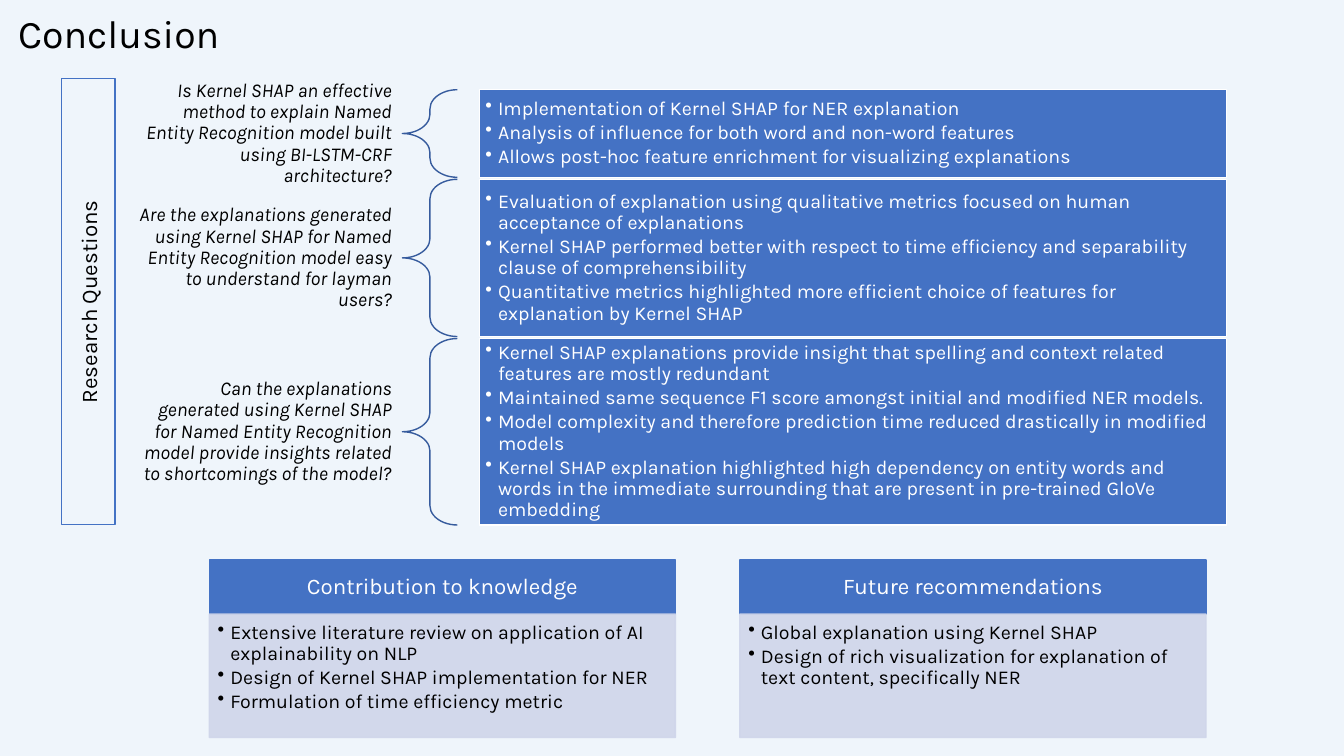
from lxml import etree
from pptx import Presentation
from pptx.dml.color import RGBColor
from pptx.enum.shapes import MSO_SHAPE
from pptx.enum.text import MSO_ANCHOR, MSO_AUTO_SIZE, PP_ALIGN
from pptx.oxml.ns import qn
from pptx.util import Pt

RECT, BRACE = MSO_SHAPE.RECTANGLE, MSO_SHAPE.LEFT_BRACE
TOP, MIDDLE = MSO_ANCHOR.TOP, MSO_ANCHOR.MIDDLE
LEFT, CENTER, RIGHT = PP_ALIGN.LEFT, PP_ALIGN.CENTER, PP_ALIGN.RIGHT
NO_FIT = MSO_AUTO_SIZE.NONE

FONT = "Karla"
BLACK, WHITE, BLUE, NAVY = "000000", "FFFFFF", "4472C4", "365B9D"
PALE, BACK = "CFD5EA", "EFF5FB"

TITLE = "Conclusion"
SIDE = "Research Questions"
# question, height of its row, findings
ROWS = [
    ("Is Kernel SHAP an effective method to explain Named Entity Recognition "
     "model built using BI-LSTM-CRF architecture?", 62.6, [
         "Implementation of Kernel SHAP for NER explanation",
         "Analysis of influence for both word and non-word features",
         "Allows post-hoc feature enrichment for visualizing explanations"]),
    ("Are the explanations generated using Kernel SHAP for Named Entity "
     "Recognition model easy to understand for layman users?", 112.3, [
         "Evaluation of explanation using qualitative metrics focused on "
         "human acceptance of explanations",
         "Kernel SHAP performed better with respect to time efficiency and "
         "separability clause of comprehensibility",
         "Quantitative metrics highlighted more efficient choice of features "
         "for explanation by Kernel SHAP"]),
    ("Can the explanations generated using Kernel SHAP for Named Entity "
     "Recognition model provide insights related to shortcomings of the "
     "model?", 133.2, [
         "Kernel SHAP explanations provide insight that spelling and context "
         "related features are mostly redundant",
         "Maintained same sequence F1 score amongst initial and modified NER "
         "models.",
         "Model complexity and therefore prediction time reduced drastically "
         "in modified models",
         "Kernel SHAP explanation highlighted high dependency on entity words "
         "and words in the immediate surrounding that are present in "
         "pre-trained GloVe embedding"]),
]
CARDS = [
    ("Contribution to knowledge", [
        "Extensive literature review on application of AI explainability on "
        "NLP",
        "Design of Kernel SHAP implementation for NER",
        "Formulation of time efficiency metric"]),
    ("Future recommendations", [
        "Global explanation using Kernel SHAP",
        "Design of rich visualization for explanation of text content, "
        "specifically NER"]),
]

ROW_TOP, ROW_GAP = 64.1, 1.4
CARD_LEFT, CARD_TOP, CARD_STEP, CARD_W = 149.5, 400, 379, 333
HEAD_H, BODY_H = 38.6, 88.2


def color(code):
    return RGBColor.from_string(code)


def place(shape, box):
    for name, value in zip(("left", "top", "width", "height"), box):
        setattr(shape, name, Pt(value))


def write(shape, lines, size=14, ink=BLACK, align=LEFT, anchor=MIDDLE,
          pad=(7.2, 3.6, 7.2, 3.6), italic=False, bullet=False, after=0,
          space=0.9):
    frame = shape.text_frame
    frame.text = "\n".join(lines)
    look = {"word_wrap": True, "auto_size": NO_FIT, "vertical_anchor": anchor}
    for side, value in zip(("left", "top", "right", "bottom"), pad):
        look["margin_" + side] = Pt(value)
    for name, value in look.items():
        setattr(frame, name, value)
    for para in frame.paragraphs:
        para.alignment, para.line_spacing = align, space
        para.space_before, para.space_after = Pt(0), Pt(after)
        font = para.runs[0].font
        style = {"name": FONT, "size": Pt(size), "italic": italic}
        for name, value in style.items():
            setattr(font, name, value)
        font.color.rgb = color(ink)
        if bullet:
            props = para._p.get_or_add_pPr()
            props.set("marL", str(Pt(9)))
            props.set("indent", str(Pt(-9)))
            etree.SubElement(props, qn("a:buChar")).set("char", "•")


def draw(kind, box, line, fill=None, alpha=None):
    shape = slide.shapes.add_shape(kind, *map(Pt, box))
    shape.shadow.inherit = False
    shape.line.color.rgb = color(line)
    shape.line.width = Pt(1)
    if fill:
        shape.fill.solid()
        shape.fill.fore_color.rgb = color(fill)
    else:
        shape.fill.background()
    if alpha:
        for node in shape._element.spPr.iter(qn("a:srgbClr")):
            etree.SubElement(node, qn("a:alpha")).set("val", str(alpha * 1000))
    return shape


deck = Presentation()
deck.slide_width, deck.slide_height = Pt(960), Pt(540)
slide = deck.slides.add_slide(deck.slide_layouts[5])
slide.background.fill.solid()
slide.background.fill.fore_color.rgb = color(BACK)

title = slide.shapes.title
place(title, (5.8, 7.2, 828, 36.7))
write(title, [TITLE], size=28)

top = ROW_TOP
for ask, height, finds in ROWS:
    note = slide.shapes.add_textbox(*map(Pt, (91.4, top, 196.6, height)))
    write(note, [ask], align=RIGHT, italic=True, pad=(8, 3, 8, 3))
    brace = draw(BRACE, (287.5, top, 39.3, height), NAVY)
    brace.adjustments[0] = 0.35
    panel = draw(RECT, (342.5, top, 533.5, height), WHITE, BLUE)
    write(panel, finds, ink=WHITE, bullet=True, after=2.1, pad=(4.2,) * 4)
    top += height + ROW_GAP

for col, (head, items) in enumerate(CARDS):
    left = CARD_LEFT + col * CARD_STEP
    bar = draw(RECT, (left, CARD_TOP, CARD_W, HEAD_H), BLUE, BLUE)
    write(bar, [head], size=16, ink=WHITE, align=CENTER, pad=(9, 5, 9, 5))
    body = draw(RECT, (left, CARD_TOP + HEAD_H, CARD_W, BODY_H), PALE, PALE, 90)
    write(body, items, anchor=TOP, bullet=True, after=2.1, pad=(6, 6, 8, 9))

side = draw(RECT, (43.9, 56.2, 38.2, 318.6), BLUE)
write(side, [SIDE], size=16, align=CENTER, space=1.0)
side.text_frame._txBody.bodyPr.set("vert", "vert270")

deck.save("out.pptx")
